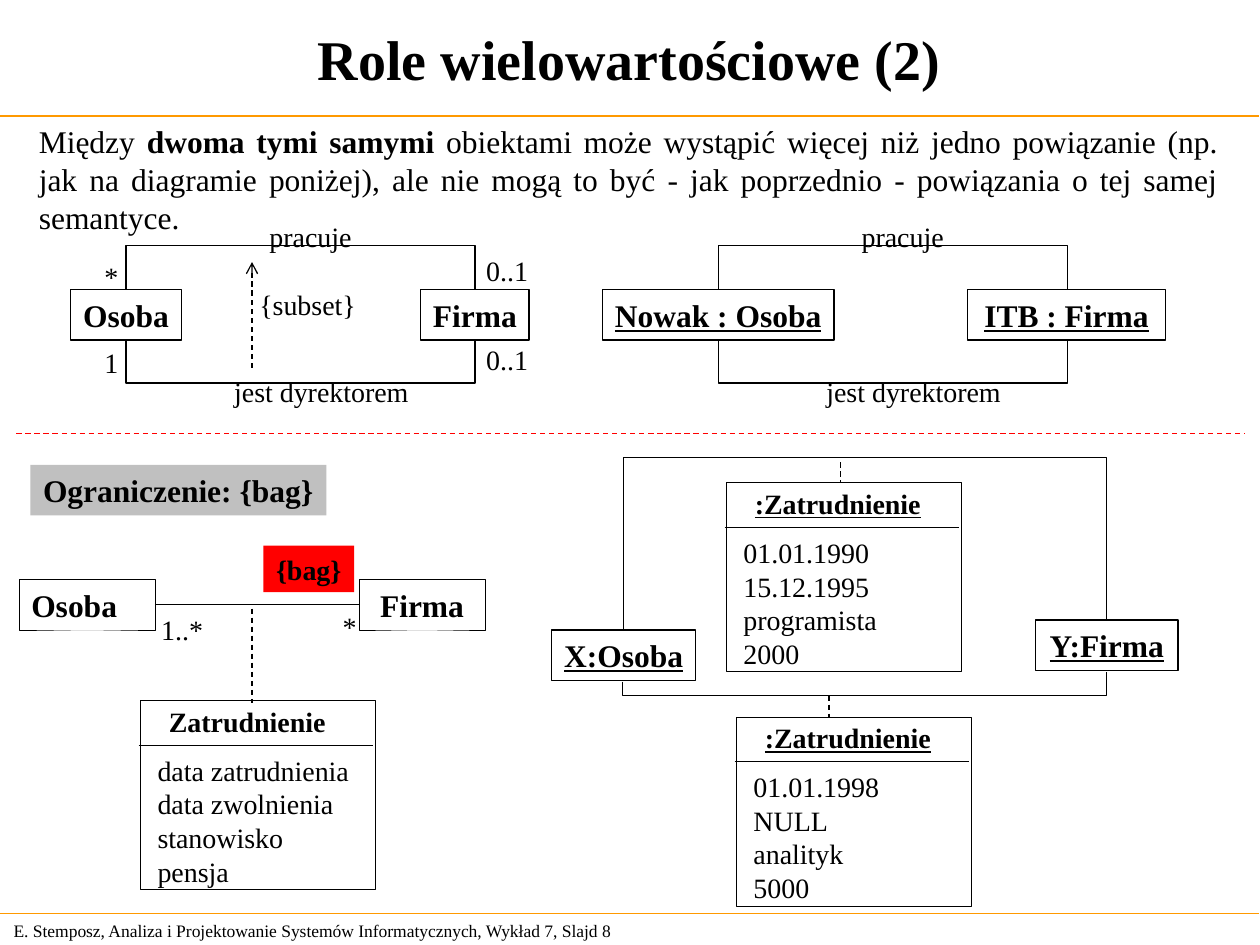
from dataclasses import dataclass

from lxml import etree
from pptx import Presentation
from pptx.dml.color import RGBColor
from pptx.enum import dml, shapes, text
from pptx.oxml.ns import qn
from pptx.util import Inches, Pt


@dataclass(frozen=True)
class Theme:
    font: str = "Times New Roman"
    black: str = "000000"
    white: str = "FFFFFF"
    grey: str = "C0C0C0"
    red: str = "FF0000"
    orange: str = "FF9900"
    title: int = 32
    body: int = 18
    label: int = 16
    footer: int = 10
    line: float = 0.75
    hairline: float = 0.11


THEME = Theme()
LEFT, CENTER, JUSTIFY = text.PP_ALIGN.LEFT, text.PP_ALIGN.CENTER, text.PP_ALIGN.JUSTIFY

TITLE = "Role wielowartościowe (2)"
FOOTER = "E. Stemposz, Analiza i Projektowanie Systemów Informatycznych, Wykład 7, Slajd 8"
INTRO = [
    ("Między ", False),
    ("dwoma tymi samymi", True),
    (" obiektami może wystąpić więcej niż jedno powiązanie (np. jak na diagramie poniżej), "
     "ale nie mogą to być - jak poprzednio - powiązania o tej samej semantyce.", False),
]

# Upper diagrams: left edge of the link, underlined or not, (name, left, width) of both boxes
LINK_PAIRS = [
    (1.0, False, [("Osoba", 0.56, 0.88), ("Firma", 3.34, 0.86)]),
    (5.7, True, [("Nowak : Osoba", 4.78, 1.84), ("ITB : Firma", 7.68, 1.57)]),
]
LINK_WIDTH = 2.77
# Name, offset from the left edge of the link, top, width
LINK_NAMES = [("pracuje", 1.04, 1.69, 0.85), ("jest dyrektorem", 0.76, 2.92, 1.58)]

# Text, left, top, width
ROLE_LABELS = [
    ("0..1", 3.76, 2.67, 0.53), ("0..1", 3.76, 1.96, 0.53),
    ("1", 0.73, 2.69, 0.31), ("*", 0.73, 2.01, 0.31),
    ("{subset}", 1.96, 2.23, 0.96),
]
MULTIPLICITIES = [("1..*", 1.28, 4.86, 0.33), ("*", 2.72, 4.84, 0.11)]
INSTANCES = [("X:Osoba", 4.38, 5.0, 1.14), ("Y:Firma", 8.22, 4.92, 1.13)]

# Left, top, heading, underlined, rows
CLASS_BOXES = [
    (1.11, 5.56, "Zatrudnienie", False,
     ["data zatrudnienia", "data zwolnienia", "stanowisko", "pensja"]),
    (5.76, 3.83, ":Zatrudnienie", True,
     ["01.01.1990", "15.12.1995", "programista", "2000"]),
    (5.84, 5.69, ":Zatrudnienie", True,
     ["01.01.1998", "NULL", "analityk", "5000"]),
]
INSTANCE_LINKS = [
    [(4.95, 5.0), (4.95, 3.63), (8.78, 3.63), (8.78, 4.92)],
    [(4.94, 5.41), (4.94, 5.52), (8.78, 5.52), (8.78, 5.33)],
]
CLASS_LINKS = [
    ((6.67, 3.67), (6.67, 3.83)),
    ((6.58, 5.52), (6.58, 5.69)),
    ((2.0, 4.83), (2.0, 5.58)),
]


def color(value):
    return RGBColor.from_string(value)


def write(shape, paragraphs, size=THEME.label, bold=False, underline=False, align=LEFT,
          anchor=text.MSO_ANCHOR.TOP, wrap=False, inset=True):
    """Fill a shape with paragraphs, each a string or a list of (text, bold) runs."""
    frame = shape.text_frame
    frame.word_wrap = wrap
    frame.auto_size = text.MSO_AUTO_SIZE.NONE
    frame.vertical_anchor = anchor
    frame.margin_left = frame.margin_right = Inches(0.1 if inset else 0)
    frame.margin_top = frame.margin_bottom = Inches(0.05 if inset else 0)
    for index, content in enumerate(paragraphs):
        paragraph = frame.add_paragraph() if index else frame.paragraphs[0]
        paragraph.alignment = align
        runs = [(content, bold)] if isinstance(content, str) else content
        for words, is_bold in runs:
            run = paragraph.add_run()
            run.text = words
            font = run.font
            font.name, font.size = THEME.font, Pt(size)
            font.bold, font.underline = is_bold, underline
            font.color.rgb = color(THEME.black)


def add_label(slide, paragraphs, left, top, width, height=0.37, **style):
    shape = slide.shapes.add_textbox(Inches(left), Inches(top), Inches(width), Inches(height))
    write(shape, paragraphs, **style)


def paint(shape, fill=None, line=None):
    shape.shadow.inherit = False
    if fill:
        shape.fill.solid()
        shape.fill.fore_color.rgb = color(fill)
    else:
        shape.fill.background()
    if line:
        shape.line.color.rgb = color(THEME.black)
        shape.line.width = Pt(line)
    else:
        shape.line.fill.background()


def add_box(slide, left, top, width, height=0.4, name=None, fill=None, line=THEME.line, **style):
    shape = slide.shapes.add_shape(shapes.MSO_SHAPE.RECTANGLE, Inches(left), Inches(top),
                                   Inches(width), Inches(height))
    paint(shape, fill, line)
    if name:
        style = {"size": THEME.body, "bold": True, "align": CENTER,
                 "anchor": text.MSO_ANCHOR.MIDDLE, **style}
        write(shape, [name], **style)
    return shape


def add_line(slide, start, end, ink=THEME.black, width=THEME.line, dashed=False, arrow=False):
    line = slide.shapes.add_connector(shapes.MSO_CONNECTOR.STRAIGHT,
                                      *(Inches(value) for value in (*start, *end)))
    line.line.color.rgb = color(ink)
    line.line.width = Pt(width)
    if dashed:
        line.line.dash_style = dml.MSO_LINE.DASH
    properties = line._element.spPr
    if arrow:
        etree.SubElement(properties.find(qn("a:ln")), qn("a:tailEnd"), type="arrow")
    etree.SubElement(properties, qn("a:effectLst"))
    return line


def add_bent_link(slide, points):
    (first_x, first_y), *rest = [(Inches(x), Inches(y)) for x, y in points]
    builder = slide.shapes.build_freeform(first_x, first_y)
    builder.add_line_segments(rest, close=False)
    paint(builder.convert_to_shape(), line=THEME.line)


def add_class_box(slide, left, top, heading, underline, rows):
    add_box(slide, left, top, 1.87, 1.5, fill=THEME.white, line=THEME.hairline)
    add_line(slide, (left - 0.01, top + 0.35), (left + 1.85, top + 0.35), width=THEME.hairline)
    add_label(slide, [heading], left + 0.23, top + 0.03, 1.32, 0.27,
              bold=True, underline=underline, inset=False)
    add_label(slide, rows, left + 0.14, top + 0.42, 1.52, 1.07, inset=False)


def add_frame(slide):
    title = slide.shapes.title
    title.left, title.top, title.width, title.height = map(Inches, (0, 0, 9.99, 0.92))
    write(title, [TITLE], size=THEME.title, bold=True, align=CENTER,
          anchor=text.MSO_ANCHOR.MIDDLE, wrap=True)
    for y in (0.92, 7.25):
        add_line(slide, (-0.01, y), (9.99, y), ink=THEME.orange)
    add_label(slide, [FOOTER], 0.01, 7.25, 5.24, 0.27, size=THEME.footer,
              anchor=text.MSO_ANCHOR.MIDDLE)
    add_label(slide, [INTRO], 0.21, 0.92, 9.56, 1, size=THEME.body, align=JUSTIFY, wrap=True)


def add_link_diagrams(slide):
    for left, underline, boxes in LINK_PAIRS:
        right = left + LINK_WIDTH
        for name, box_left, width in boxes:
            add_box(slide, box_left, 2.3, width, name=name, underline=underline)
        for edge, bend in ((2.3, 1.95), (2.7, 3.04)):
            add_bent_link(slide, [(left, edge), (left, bend), (right, bend), (right, edge)])
        for name, offset, top, width in LINK_NAMES:
            add_label(slide, [name], left + offset, top, width)
    for label, *place in ROLE_LABELS:
        add_label(slide, [label], *place)
    add_line(slide, (2, 2.92), (2, 2.08), dashed=True, arrow=True)
    add_line(slide, (0.13, 3.44), (9.88, 3.44), ink=THEME.red, dashed=True)


def add_bag_diagrams(slide):
    add_box(slide, 0.24, 3.69, 2.35, name="Ograniczenie: {bag}", fill=THEME.grey, line=None)
    add_box(slide, 2.09, 4.33, 0.72, 0.37, name="{bag}", fill=THEME.red, line=None,
            size=THEME.label)
    person = add_box(slide, 0.15, 4.6, 1.08, name="Osoba", fill=THEME.white,
                     line=THEME.hairline, align=LEFT)
    company = add_box(slide, 2.85, 4.6, 1, name="Firma", fill=THEME.white, line=THEME.hairline)
    association = add_line(slide, (1.23, 4.8), (2.85, 4.8))
    association.begin_connect(person, 3)
    association.end_connect(company, 1)
    for label, *place in MULTIPLICITIES:
        add_label(slide, [label], *place, 0.27, inset=False)
    for name, *place in INSTANCES:
        add_box(slide, *place, name=name, underline=True)
    for class_box in CLASS_BOXES:
        add_class_box(slide, *class_box)
    for points in INSTANCE_LINKS:
        add_bent_link(slide, points)
    for start, end in CLASS_LINKS:
        add_line(slide, start, end, dashed=True)


def main():
    presentation = Presentation()
    presentation.slide_width, presentation.slide_height = Inches(10), Inches(7.5)
    slide = presentation.slides.add_slide(presentation.slide_layouts.get_by_name("Title Only"))
    add_frame(slide)
    add_link_diagrams(slide)
    add_bag_diagrams(slide)
    presentation.save("out.pptx")


if __name__ == "__main__":
    main()
